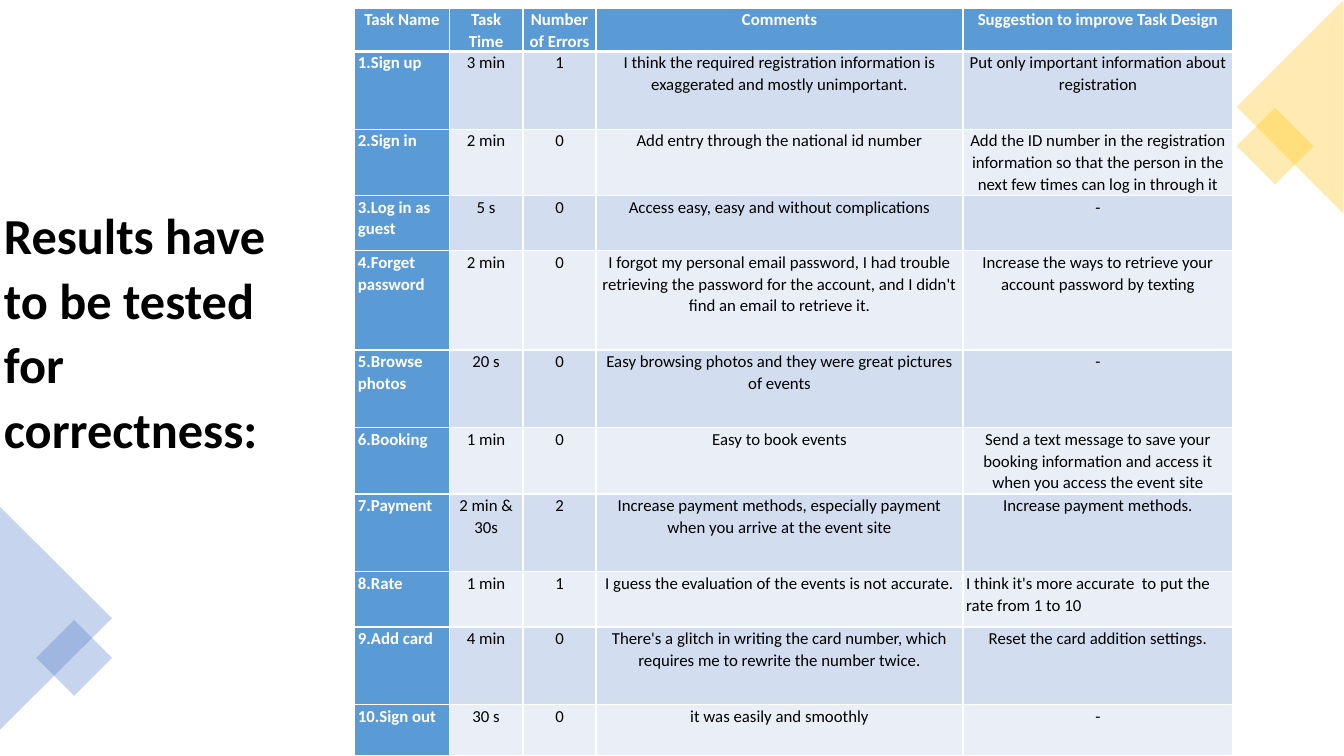
import pptx
import pptx.util
import pptx.dml.color
import pptx.enum.shapes
import pptx.enum.text
import pptx.oxml
import pptx.oxml.ns
from lxml import etree

Cm, Pt = pptx.util.Cm, pptx.util.Pt
RGB = pptx.dml.color.RGBColor.from_string
SHAPE = pptx.enum.shapes.MSO_SHAPE
ALIGN = pptx.enum.text.PP_ALIGN
qn = pptx.oxml.ns.qn

# Content
TITLE = "Results have to be tested for correctness:"
HEADER = ("Task Name", "Task Time", "Number of Errors", "Comments",
          "Suggestion to improve Task Design")
TASKS = [
    ("1.Sign up", "3 min", "1",
     "I think the required registration information is exaggerated and mostly unimportant.",
     "Put only important information about registration"),
    ("2.Sign in", "2 min", "0", "Add entry through the national id number",
     "Add the ID number in the registration information so that the person in the "
     "next few times can log in through it"),
    ("3.Log in as guest", "5 s", "0", "Access easy, easy and without complications", "-"),
    ("4.Forget password", "2 min", "0",
     "I forgot my personal email password, I had trouble retrieving the password for "
     "the account, and I didn't find an email to retrieve it.",
     "Increase the ways to retrieve your account password by texting"),
    ("5.Browse photos", "20 s", "0",
     "Easy browsing photos and they were great pictures of events", "-"),
    ("6.Booking", "1 min", "0", "Easy to book events",
     "Send a text message to save your booking information and access it when you "
     "access the event site"),
    ("7.Payment", "2 min & 30s", "2",
     "Increase payment methods, especially payment when you arrive at the event site",
     "Increase payment methods."),
    ("8.Rate", "1 min", "1", "I guess the evaluation of the events is not accurate.",
     "I think it's more accurate  to put the rate from 1 to 10"),
    ("9.Add card", "4 min", "0",
     "There's a glitch in writing the card number, which requires me to rewrite the "
     "number twice.",
     "Reset the card addition settings."),
    ("10.Sign out", "30 s", "0", "it was easily and smoothly", "-"),
]
LEFT_ALIGNED_SUGGESTION = "8.Rate"

# Sizes in cm
COL_WIDTHS = (2.38, 1.86, 1.84, 9.25, 6.8)
ROW_HEIGHTS = (1.1, 1.96, 1.67, 1.39, 2.5, 1.96, 1.67, 1.96, 1.39, 1.96, 1.29)
TABLE_LEFT, TABLE_TOP = 8.94, 0.2

# Corner ornaments: shape, centre x, centre y, width, height, rotation, colour
ORNAMENTS = [
    (SHAPE.RECTANGLE, 32.13, 3.68, 1.37, 1.37, 45, "gold"),
    (SHAPE.ISOSCELES_TRIANGLE, 32.51, 2.69, 5.38, 2.69, 270, "gold"),
    (SHAPE.ISOSCELES_TRIANGLE, 1.41, 15.58, 5.61, 2.82, 90, "blue"),
    (SHAPE.RECTANGLE, 1.87, 16.58, 1.35, 1.35, 45, "blue"),
]

THEME = {
    "font": "Calibri", "title_size": 36, "cell_size": 12,
    "text": "000000", "white": "FFFFFF",
    "head": "5B9BD5", "bands": ("D2DEEF", "EAEFF7"),
    "gold": "FFC000", "blue": "4472C4", "opacity": 30,
}


def write(tf, text, size, colour, bold, align=ALIGN.LEFT):
    p = tf.paragraphs[0]
    p.alignment = align
    p.line_spacing = 1.07
    p.space_after = Pt(8)
    r = p.add_run()
    r.text = text
    r.font.name = THEME["font"]
    r.font.size = Pt(size)
    r.font.bold = bold
    r.font.color.rgb = RGB(colour)


def add_borders(cell, top, bottom):
    props = cell._tc.get_or_add_tcPr()
    for side, width in (("L", 1), ("R", 1), ("T", top), ("B", bottom)):
        line = etree.SubElement(props, qn(f"a:ln{side}"), w=str(Pt(width)))
        fill = etree.SubElement(line, qn("a:solidFill"))
        etree.SubElement(fill, qn("a:srgbClr"), val=THEME["white"])


def add_ornament(s, kind, x, y, w, h, rotation, colour):
    sp = s.shapes.add_shape(kind, Cm(x - w / 2), Cm(y - h / 2), Cm(w), Cm(h))
    sp.rotation = rotation
    sp.shadow.inherit = False
    sp.line.fill.background()
    sp.fill.solid()
    sp.fill.fore_color.rgb = RGB(THEME[colour])
    clr = sp._element.spPr.find(".//" + qn("a:srgbClr"))
    etree.SubElement(clr, qn("a:alpha"), val=str(THEME["opacity"] * 1000))


def add_title(s):
    tf = s.shapes.add_textbox(Cm(0), Cm(4.98), Cm(8.15), Cm(6.63)).text_frame
    tf.word_wrap = True
    tf.margin_left = Cm(0.1)
    tf.vertical_anchor = pptx.enum.text.MSO_ANCHOR.MIDDLE
    write(tf, TITLE, THEME["title_size"], THEME["text"], True)


def add_results(s):
    rows = [HEADER] + TASKS
    table = s.shapes.add_table(
        len(rows), len(HEADER), Cm(TABLE_LEFT), Cm(TABLE_TOP),
        Cm(sum(COL_WIDTHS)), Cm(sum(ROW_HEIGHTS))).table
    for column, width in zip(table.columns, COL_WIDTHS):
        column.width = Cm(width)
    for i, (values, height) in enumerate(zip(rows, ROW_HEIGHTS)):
        table.rows[i].height = Cm(height)
        for j, text in enumerate(values):
            cell = table.cell(i, j)
            cell.margin_left = cell.margin_right = Cm(0.08)
            cell.margin_top = cell.margin_bottom = 0
            add_borders(cell, 3 if i == 1 else 1, 3 if i == 0 else 1)
            head = i == 0 or j == 0
            cell.fill.solid()
            cell.fill.fore_color.rgb = RGB(
                THEME["head"] if head else THEME["bands"][(i - 1) % 2])
            left = i > 0 and (j == 0 or (j == 4 and values[0] == LEFT_ALIGNED_SUGGESTION))
            write(cell.text_frame, text, THEME["cell_size"],
                  THEME["white"] if head else THEME["text"], head,
                  ALIGN.LEFT if left else ALIGN.CENTER)


def main():
    prs = pptx.Presentation()
    prs.slide_width, prs.slide_height = Cm(33.87), Cm(19.05)
    s = prs.slides.add_slide(prs.slide_layouts[6])
    add_title(s)
    for ornament in ORNAMENTS:
        add_ornament(s, *ornament)
    add_results(s)
    prs.save("out.pptx")


if __name__ == "__main__":
    main()
